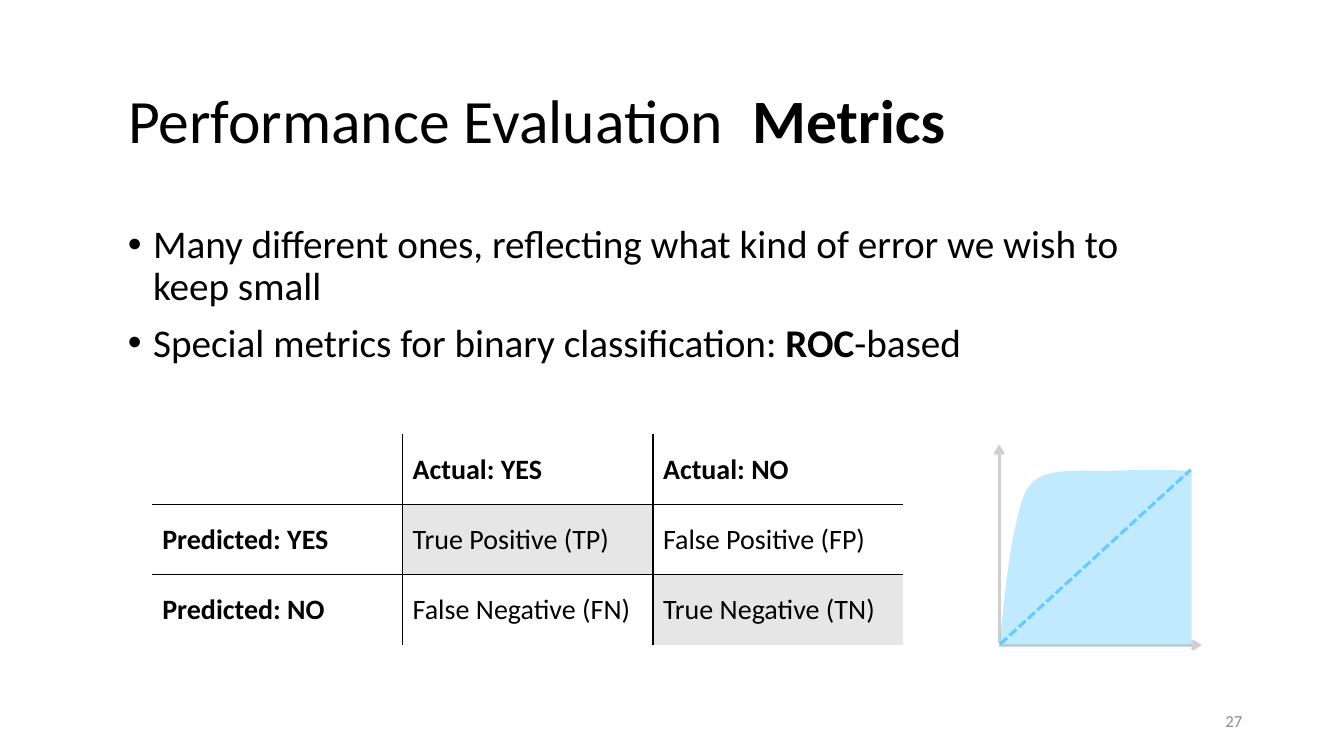
from lxml.etree import SubElement
from pptx import Presentation
from pptx.dml.color import RGBColor
from pptx.enum.dml import MSO_LINE_DASH_STYLE as Dash
from pptx.enum.shapes import MSO_CONNECTOR as Connector, MSO_SHAPE as Shape
from pptx.enum.text import MSO_ANCHOR as Anchor, MSO_AUTO_SIZE as AutoSize, PP_ALIGN as Align
from pptx.oxml.ns import qn
from pptx.util import Inches, Pt

BLACK = RGBColor(0x00, 0x00, 0x00)
NUMBER_GRAY = RGBColor(0x8C, 0x8C, 0x8C)
AXIS_GRAY = RGBColor(0xD0, 0xCE, 0xCE)
CELL_GRAY = RGBColor(0xE7, 0xE6, 0xE6)
SKY_BLUE = RGBColor(0x66, 0xCC, 0xFF)
NO_STYLE = "{2D5ABB26-0587-4C30-8999-92F81FD0307C}"


def write_runs(paragraph, pieces, size, color=BLACK):
    paragraph.text = pieces[0][0]
    for text, bold in pieces[1:]:
        paragraph.add_run().text = text
    bold_texts = [text for text, bold in pieces if bold]
    for run in paragraph.runs:
        run.font.name = "Calibri"
        run.font.size = Pt(size)
        run.font.bold = run.text in bold_texts
        run.font.color.rgb = color


def add_line(shapes, start, end, color):
    line = shapes.add_connector(Connector.STRAIGHT, *map(Inches, start + end))
    line.line.color.rgb = color
    line.line.width = Pt(2.25)
    SubElement(line._element.spPr, qn("a:effectLst"))
    return line


presentation = Presentation()
presentation.slide_width = Inches(13.33)
presentation.slide_height = Inches(7.5)
slide = presentation.slides.add_slide(presentation.slide_layouts[5])

title = slide.shapes.title
title.left, title.top, title.width, title.height = map(Inches, (1.17, 0.61, 11.25, 1.23))
title_frame = title.text_frame
title_frame.auto_size = AutoSize.NONE
title_frame.vertical_anchor = Anchor.MIDDLE
title_paragraph = title_frame.paragraphs[0]
title_paragraph.alignment = Align.LEFT
title_paragraph.line_spacing = 0.9
write_runs(title_paragraph, [("Performance Evaluation  ", False), ("Metrics", True)], 44)

body_frame = slide.shapes.add_textbox(*map(Inches, (1.17, 2.18, 11.03, 1.75))).text_frame
body_frame.word_wrap = True
bullets = [
    [("Many different ones, reflecting what kind of error we wish to \nkeep small", False)],
    [("Special metrics for binary classification: ", False), ("ROC", True), ("-based", False)],
]
for index, pieces in enumerate(bullets):
    paragraph = body_frame.add_paragraph() if index else body_frame.paragraphs[0]
    write_runs(paragraph, pieces, 28)
    paragraph.line_spacing = 0.9
    paragraph.space_before = Pt(10)
    properties = paragraph._p.get_or_add_pPr()
    properties.set("marL", str(Inches(0.25)))
    properties.set("indent", str(-Inches(0.25)))
    SubElement(properties, qn("a:buFont"), typeface="Arial")
    SubElement(properties, qn("a:buChar"), char="•")

confusion = [
    ["", "Actual: YES", "Actual: NO"],
    ["Predicted: YES", "True Positive (TP)", "False Positive (FP)"],
    ["Predicted: NO", "False Negative (FN)", "True Negative (TN)"],
]
last = len(confusion) - 1
table = slide.shapes.add_table(3, 3, *map(Inches, (1.51, 4.31, 7.45, 2.09))).table
table.first_row = table.horz_banding = False
table._tbl.tblPr.find(qn("a:tableStyleId")).text = NO_STYLE
for row, texts in enumerate(confusion):
    for column, text in enumerate(texts):
        cell = table.cell(row, column)
        cell.vertical_anchor = Anchor.MIDDLE
        write_runs(cell.text_frame.paragraphs[0], [(text, row == 0 or column == 0)], 20)
        inner_sides = {"a:lnL": column > 0, "a:lnR": column < last, "a:lnT": row > 0, "a:lnB": row < last}
        for side, inner in inner_sides.items():
            if inner:
                border = SubElement(cell._tc.get_or_add_tcPr(), qn(side), w=str(Pt(1)))
                border_fill = SubElement(border, qn("a:solidFill"))
                SubElement(border_fill, qn("a:srgbClr"), val=str(BLACK))
        if row == column > 0:
            cell.fill.solid()
            cell.fill.fore_color.rgb = CELL_GRAY
        else:
            cell.fill.background()

roc_chart = slide.shapes.add_group_shape()
for start, end in [((9.91, 6.4), (11.92, 6.4)), ((9.91, 6.38), (9.91, 4.41))]:
    axis = add_line(roc_chart.shapes, start, end, AXIS_GRAY)
    SubElement(axis.line._get_or_add_ln(), qn("a:tailEnd"), type="arrow")

curve_segments = [
    [(9.91, 6.4), (9.96, 5.97), (10, 5.55), (10.06, 5.27)],
    [(10.06, 5.27), (10.13, 4.99), (10.14, 4.84), (10.3, 4.74)],
    [(10.3, 4.74), (10.47, 4.64), (10.8, 4.68), (11.05, 4.67)],
    [(11.05, 4.67), (11.3, 4.66), (11.56, 4.66), (11.81, 4.67)],
]
steps = 12
curve_points = []
for segment in curve_segments:
    for step in range(1, steps + 1):
        t = step / steps
        weights = [(1 - t) ** 3, 3 * t * (1 - t) ** 2, 3 * t ** 2 * (1 - t), t ** 3]
        curve_points.append(tuple(
            Inches(sum(weight * value for weight, value in zip(weights, values)))
            for values in zip(*segment)
        ))
builder = roc_chart.shapes.build_freeform(Inches(9.91), Inches(6.4))
builder.add_line_segments(curve_points, close=True)
curve_area = builder.convert_to_shape()
lower_area = roc_chart.shapes.add_shape(Shape.RIGHT_TRIANGLE, *map(Inches, (10, 4.58, 1.74, 1.9)))
lower_area.rotation = 270
for area in (curve_area, lower_area):
    area.shadow.inherit = False
    area.line.fill.background()
    area.fill.solid()
    area.fill.fore_color.rgb = SKY_BLUE
    SubElement(area._element.spPr.find(".//" + qn("a:srgbClr")), qn("a:alpha"), val="40000")

diagonal = add_line(roc_chart.shapes, (9.92, 6.39), (11.81, 4.66), SKY_BLUE)
diagonal.line.dash_style = Dash.SQUARE_DOT

number_frame = slide.shapes.add_textbox(*map(Inches, (9.42, 6.95, 3, 0.4))).text_frame
number_frame.word_wrap = True
number_frame.vertical_anchor = Anchor.MIDDLE
number_frame.paragraphs[0].alignment = Align.RIGHT
write_runs(number_frame.paragraphs[0], [("27", False)], 12, NUMBER_GRAY)

presentation.save("out.pptx")
